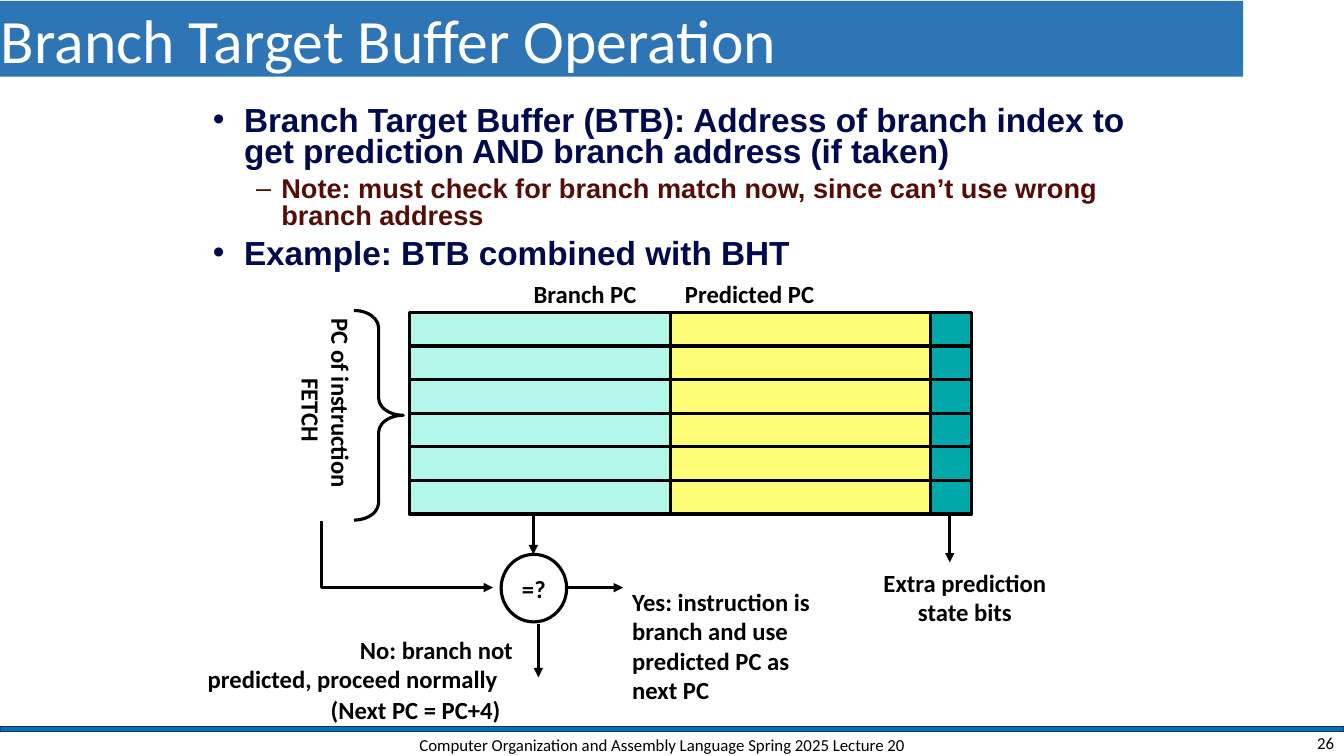
from lxml import etree
from pptx import Presentation
from pptx.dml.color import RGBColor
from pptx.enum import shapes, text
from pptx.oxml.ns import qn
from pptx.util import Inches, Pt

HUE = {
    "black": "000000", "white": "FFFFFF", "title": "2E75B6",
    "bar": "0070C0", "edge": "1E3256", "navy": "000A4D",
    "maroon": "550E07", "mint": "B3F6EA", "yellow": "FFFC78",
    "teal": "00A8A9",
}
KIND = shapes.MSO_SHAPE
ALIGN = text.PP_ALIGN
MID = text.MSO_ANCHOR.MIDDLE


def paint(shape, fill=None, line=None, width=2.25):
    shape.shadow.inherit = False
    if fill:
        shape.fill.solid()
        shape.fill.fore_color.rgb = RGBColor.from_string(HUE[fill])
    else:
        shape.fill.background()
    if line:
        shape.line.color.rgb = RGBColor.from_string(HUE[line])
        shape.line.width = Pt(width)
    else:
        shape.line.fill.background()


def write(shape, words, size=17.6, font="Calibri", color="black", bold=True,
          align=ALIGN.LEFT, anchor=text.MSO_ANCHOR.TOP, top=0.01, side=0,
          left=0, hang=0, before=0, lead=None, bullet=None, tab=None):
    """Fill the shape's first paragraph, or add one below its text."""
    frame = shape.text_frame
    frame.word_wrap = True
    frame.vertical_anchor = anchor
    frame.margin_left = frame.margin_right = Inches(side)
    frame.margin_top, frame.margin_bottom = Inches(top), 0
    para = frame.add_paragraph() if frame.text else frame.paragraphs[0]
    para.text = words
    para.alignment = align
    para.space_before = Pt(before)
    if lead:
        para.line_spacing = lead
    props = para._p.get_or_add_pPr()
    props.set("marL", str(Inches(left)))
    props.set("indent", str(Inches(hang)))
    if bullet:
        etree.SubElement(props, qn("a:buFont"), typeface="Arial")
        etree.SubElement(props, qn("a:buChar"), char=bullet)
    if tab:
        stops = etree.SubElement(props, qn("a:tabLst"))
        etree.SubElement(stops, qn("a:tab"), pos=str(Inches(tab)), algn="l")
    for run in para.runs:
        run.font.size, run.font.name, run.font.bold = Pt(size), font, bold
        run.font.color.rgb = RGBColor.from_string(HUE[color])


deck = Presentation()
deck.slide_width, deck.slide_height = Inches(13.33), Inches(7.5)
slide = deck.slides.add_slide(deck.slide_layouts[6])
pool = slide.shapes

# Title band and footer rule
rule = pool.add_shape(KIND.RECTANGLE, 0, Inches(7.21), Inches(13.33), Inches(0.05))
paint(rule, "bar", "edge", 1)
band = pool.add_shape(KIND.RECTANGLE, 0, Inches(0.01), Inches(12.33), Inches(0.75))
paint(band, "title")
write(band, "Branch Target Buffer Operation", size=44, color="white",
      bold=False, anchor=MID, left=0.01)

# Buffer rows
ROWS, TOP, HIGH = 6, 3.1, 2 / 6
COLS = [(4.06, 2.59, "mint"), (6.65, 2.58, "yellow"), (9.23, 0.41, "teal")]
for row in range(ROWS):
    for x, wide, fill in COLS:
        cell = pool.add_shape(KIND.RECTANGLE, Inches(x), Inches(TOP + row * HIGH),
                              Inches(wide), Inches(HIGH))
        paint(cell, fill, "black")

# Bullets and column heads
body = pool.add_textbox(Inches(2.1), Inches(0.97), Inches(9.12), Inches(2.11))
point = dict(size=23.8, font="Arial", color="navy", top=0.1,
             left=0.32, hang=-0.31, bullet="•")
write(body, "Branch Target Buffer (BTB): Address of branch index to get "
      "prediction AND branch address (if taken)", lead=0.77, **point)
write(body, "Note: must check for branch match now, since can’t use wrong "
      "branch address", size=19.4, font="Arial", color="maroon", top=0.1,
      left=0.69, hang=-0.25, before=6.2, lead=0.8, bullet="–")
write(body, "Example: BTB combined with BHT", before=1.4, **point)
write(body, "Branch PC\tPredicted PC", align=ALIGN.CENTER, top=0.1,
      left=0.05, before=4.9, tab=2.48)

# Comparator and brace
test = pool.add_shape(KIND.OVAL, Inches(4.97), Inches(5.5), Inches(0.65), Inches(0.67))
paint(test, line="black")
write(test, "=?", align=ALIGN.CENTER, anchor=MID)
brace = pool.add_shape(KIND.RIGHT_BRACE, Inches(3.51), Inches(3.08),
                       Inches(0.49), Inches(2.08))
brace.adjustments[0] = 0.35
paint(brace, line="black")

# Arrows
arrows = []
for x1, y1, x2, y2 in [(5.29, 5.1, 5.29, 5.5), (9.42, 5.1, 9.42, 5.58),
                       (5.62, 5.83, 6.18, 5.83), (5.34, 6.19, 5.34, 6.72)]:
    arrow = pool.add_connector(shapes.MSO_CONNECTOR.STRAIGHT, Inches(x1),
                               Inches(y1), Inches(x2), Inches(y2))
    arrow.line.color.rgb = RGBColor.from_string(HUE["black"])
    arrow.line.width = Pt(2.25)
    etree.SubElement(arrow._element.spPr, qn("a:effectLst"))
    arrows.append(arrow)
pen = pool.build_freeform(Inches(3.19), Inches(5.17))
pen.add_line_segments([(Inches(3.19), Inches(5.83)), (Inches(4.89), Inches(5.83))],
                      close=False)
elbow = pen.convert_to_shape()
paint(elbow, line="black")
for arrow in arrows + [elbow]:
    etree.SubElement(arrow.line._get_or_add_ln(), qn("a:tailEnd"), type="triangle")

# Labels
LABELS = [
    (2.94, 3.11, 0.59, 2.02, ["PC of instruction FETCH"],
     dict(left=0.6, hang=-0.59, top=0.04)),
    (8.61, 5.62, 1.92, 0.61, ["Extra prediction\vstate bits"],
     dict(align=ALIGN.CENTER)),
    (6.27, 5.81, 2.12, 1.2,
     ["Yes: instruction is\vbranch and use\vpredicted PC as\vnext PC"], {}),
    (3.57, 6.29, 1.84, 0.31, ["No: branch not"], {}),
    (2.06, 6.58, 3.36, 0.61, ["predicted, proceed normally"], {}),
    (3.28, 6.88, 2.14, 0.31, ["(Next PC = PC+4)"], {}),
    (3.92, 7.24, 5.3, 0.28,
     ["Computer Organization and Assembly Language Spring 2025 Lecture 20"],
     dict(size=12, bold=False, align=ALIGN.CENTER, anchor=MID, side=0.1)),
    (10.33, 7.24, 3, 0.25, ["26"],
     dict(size=12, bold=False, align=ALIGN.RIGHT, anchor=MID, side=0.1)),
]
for x, y, wide, high, lines, form in LABELS:
    label = pool.add_textbox(Inches(x), Inches(y), Inches(wide), Inches(high))
    for words in lines:
        write(label, words, **form)
    if high > wide:
        label.text_frame._txBody.bodyPr.set("vert", "vert")

deck.save("out.pptx")
